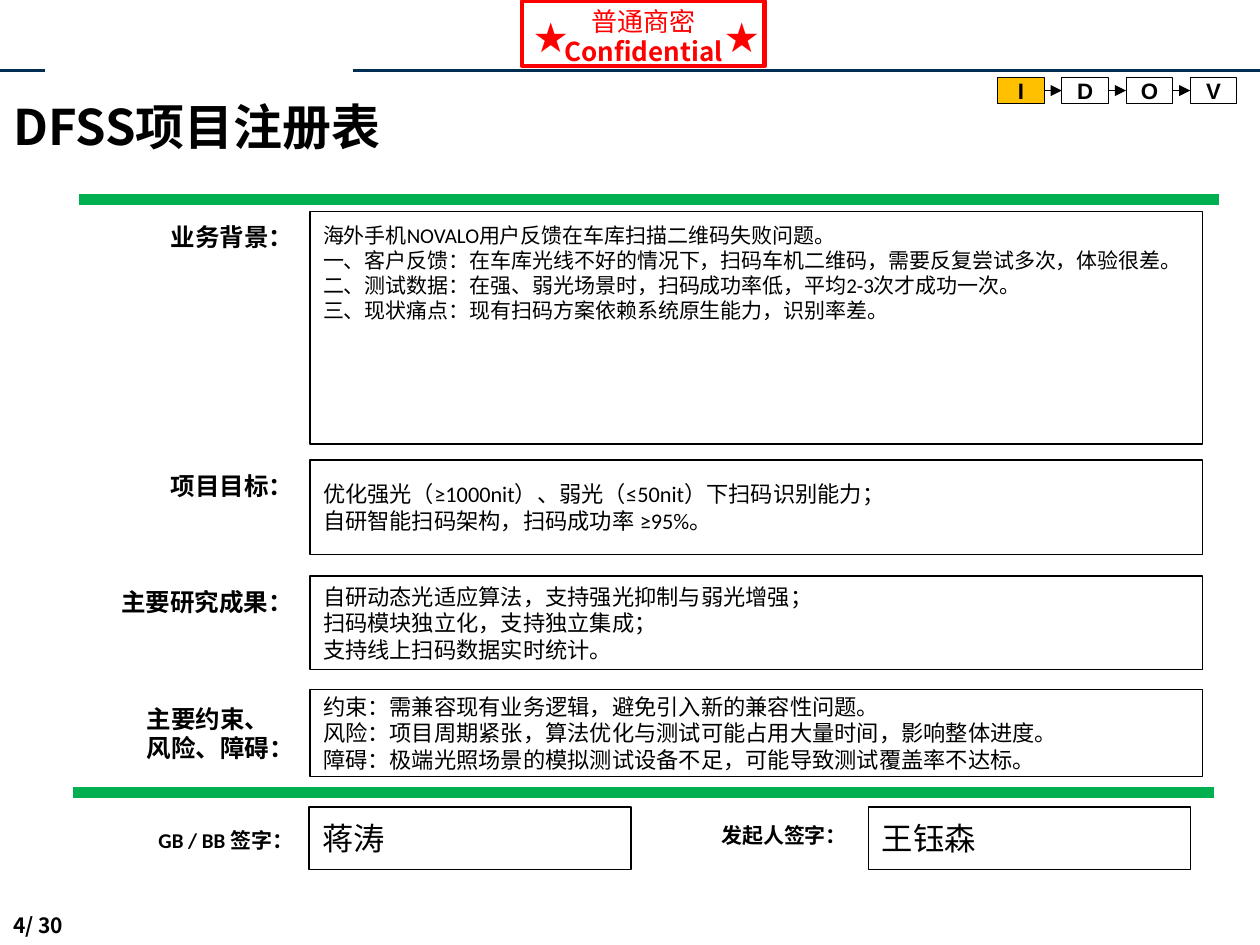
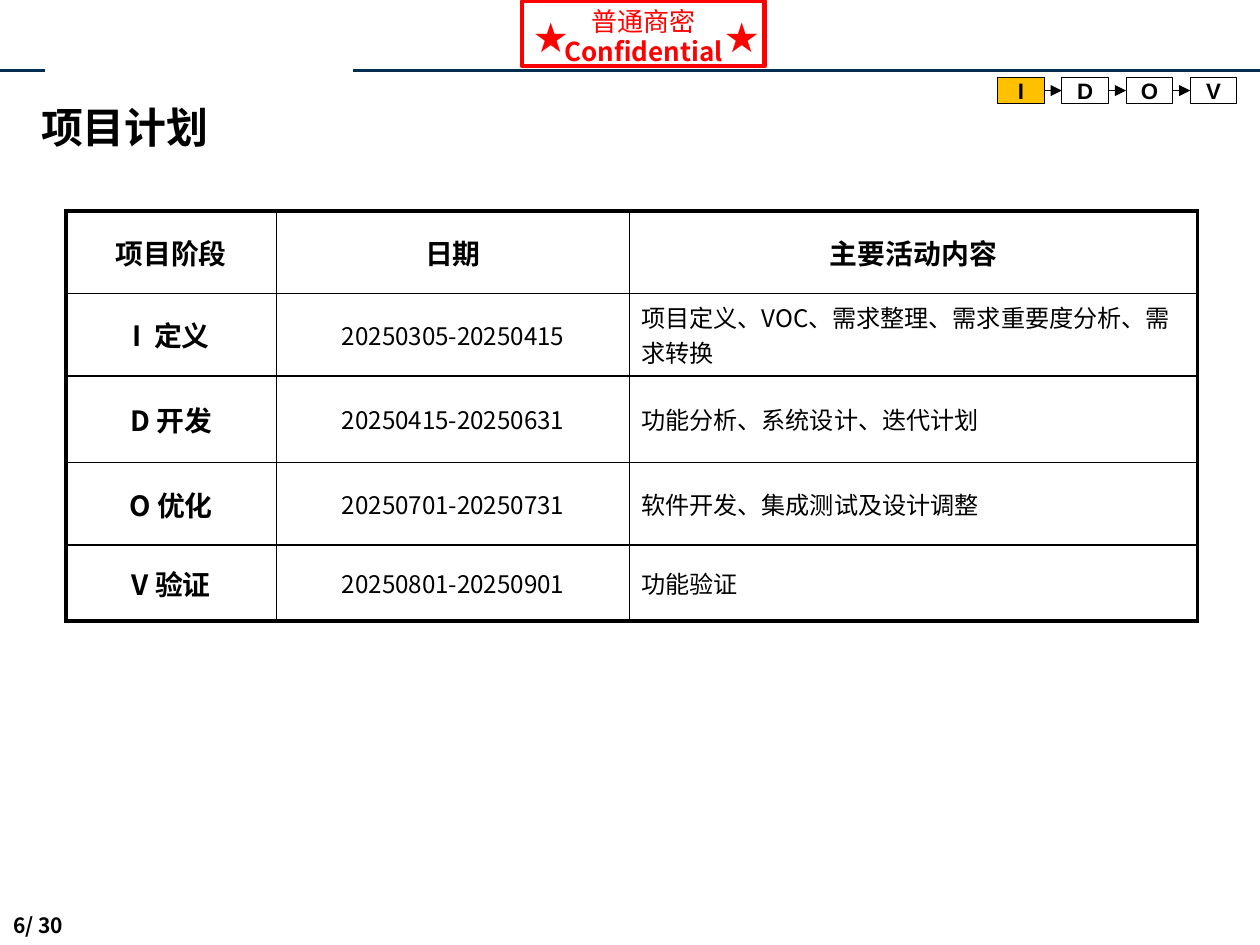
from pptx import Presentation
from pptx.dml.color import RGBColor
from pptx.enum.shapes import MSO_CONNECTOR, MSO_SHAPE
from pptx.enum.text import MSO_ANCHOR, MSO_AUTO_SIZE, PP_ALIGN
from pptx.oxml.ns import qn
from pptx.util import Pt
from lxml import etree

LEFT, CENTER = PP_ALIGN.LEFT, PP_ALIGN.CENTER
TOP, MIDDLE = MSO_ANCHOR.TOP, MSO_ANCHOR.MIDDLE
RECTANGLE, STRAIGHT = MSO_SHAPE.RECTANGLE, MSO_CONNECTOR.STRAIGHT
NO_AUTOFIT = MSO_AUTO_SIZE.NONE
TITLE_ONLY = 5

COLORS = {"ink": "000000", "paper": "FFFFFF", "navy": "002E53",
          "red": "FF0000", "amber": "FFC000", "green": "00B050"}
SANS, BODY, LATIN = "Noto Sans CJK SC", "Calibri", "Arial"
WIDTH, HEIGHT = 679, 509
FIELD_LEFT, FIELD_WIDTH = 167, 481
LABEL_RIGHT = 170


def color(name):
    return RGBColor.from_string(COLORS[name])


def format_span(span, size, font, ink, bold):
    span.font.size = Pt(size)
    span.font.bold = bold
    span.font.color.rgb = color(ink)
    span.font.name = font
    east_asian = etree.SubElement(span.font._element, qn("a:ea"))
    east_asian.set("typeface", font)


def write(frame, text, size=12, font=BODY, ink="ink", bold=False,
          align=LEFT, anchor=TOP, spacing=None, margins=(7.2, 3.6, 7.2, 3.6)):
    """Fill a text frame; each line of the text becomes a paragraph."""
    frame.word_wrap = True
    frame.auto_size = NO_AUTOFIT
    frame.vertical_anchor = anchor
    (frame.margin_left, frame.margin_top,
     frame.margin_right, frame.margin_bottom) = map(Pt, margins)
    for index, line in enumerate(text.split("\n")):
        para = frame.add_paragraph() if index else frame.paragraphs[0]
        para.alignment = align
        para.line_spacing = spacing
        format_span(para.add_run(), size, font, ink, bold)
        para.runs[0].text = line


def add_text(page, left, top, width, height, text, **style):
    box = page.shapes.add_textbox(Pt(left), Pt(top), Pt(width), Pt(height))
    write(box.text_frame, text, **style)


def add_box(page, left, top, width, height, text="", fill=None,
            line="ink", weight=0.75, **style):
    box = page.shapes.add_shape(RECTANGLE, Pt(left), Pt(top),
                                Pt(width), Pt(height))
    box.shadow.inherit = False
    if fill:
        box.fill.solid()
        box.fill.fore_color.rgb = color(fill)
    else:
        box.fill.background()
    box.line.color.rgb = color(line)
    box.line.width = Pt(weight)
    write(box.text_frame, text, **{"anchor": MIDDLE, **style})


def add_rule(page, left, right, y, ink, weight, arrow=False):
    rule = page.shapes.add_connector(STRAIGHT, Pt(left), Pt(y),
                                     Pt(right), Pt(y))
    rule.line.color.rgb = color(ink)
    rule.line.width = Pt(weight)
    if arrow:
        etree.SubElement(rule.line._get_or_add_ln(),
                         qn("a:tailEnd")).set("type", "triangle")
    etree.SubElement(rule._element.spPr, qn("a:effectLst"))


def add_stamp(page):
    add_box(page, 281.5, 0.7, 130.5, 35, line="red", weight=2.25)
    for text, top, bold in (("普通商密", 2, False), ("Confidential", 18, True)):
        add_text(page, 281.5, top, 130.5, 18, text, size=14, font=SANS,
                 ink="red", bold=bold, align=CENTER, spacing=Pt(18),
                 margins=(0, 0, 0, 0))
    for left in (281, 384):
        add_text(page, left, 5, 32, 29, "★", size=18, font=SANS,
                 ink="red", spacing=Pt(22.5))


def add_phases(page, active):
    left, top, width, height, pitch = 537.6, 41.6, 25.2, 14.4, 34.6
    phases = "IDOV"
    for index, phase in enumerate(phases):
        x = left + index * pitch
        add_box(page, x, top, width, height, phase, weight=0.5,
                fill="amber" if phase == active else "paper",
                size=12, font=LATIN, bold=True, align=CENTER,
                margins=(0, 0, 0, 0))
        if index < len(phases) - 1:
            add_rule(page, x + width, x + pitch, top + height / 2,
                     "ink", 0.5, arrow=True)


def add_page(deck, title, number, title_left, title_size):
    """Add a slide with the shared header, title and page number."""
    page = deck.slides.add_slide(deck.slide_layouts[TITLE_ONLY])
    for left, right in ((0, 24.5), (190, WIDTH)):
        add_rule(page, left, right, 38, "navy", 1.5)
    add_stamp(page)
    add_phases(page, "I")
    add_text(page, 0, 488, 74, 21, f"{number}/ 30", size=11.3, font=SANS,
             bold=True, spacing=Pt(13.5))
    heading = page.shapes.title
    heading.left, heading.top = Pt(title_left), Pt(48)
    heading.width, heading.height = Pt(505), Pt(44)
    write(heading.text_frame, title, size=title_size, font=SANS, bold=True,
          anchor=MIDDLE, spacing=0.9)
    return page


def add_label(page, left, top, text, right=LABEL_RIGHT, size=13.2):
    height = 7.2 + 16 * len(text.split("\n"))
    add_text(page, left, top, right - left, height, text, size=size, bold=True)


def set_borders(cell, weights):
    properties = cell._tc.get_or_add_tcPr()
    for index, (side, weight) in enumerate(weights.items()):
        border = etree.Element(qn(f"a:{side}"), w=str(Pt(weight)))
        fill = etree.SubElement(border, qn("a:solidFill"))
        etree.SubElement(fill, qn("a:srgbClr"), val=COLORS["ink"])
        properties.insert(index, border)


def add_grid(page, left, top, widths, heights, rows):
    """Add a table with a heavy frame, bold header and bold first column."""
    thin, thick = 1, 2.25
    last_row, last_column = len(heights) - 1, len(widths) - 1
    table = page.shapes.add_table(len(heights), len(widths), Pt(left), Pt(top),
                                  Pt(sum(widths)), Pt(sum(heights))).table
    table.first_row = table.horz_banding = False
    for column, width in zip(table.columns, widths):
        column.width = Pt(width)
    for r, (height, texts) in enumerate(zip(heights, rows)):
        table.rows[r].height = Pt(height)
        for c, text in enumerate(texts):
            cell = table.cell(r, c)
            strong = r == 0 or c == 0
            centered = r == 0 or c < last_column
            write(cell.text_frame, text, size=15 if strong else 13, font=SANS,
                  bold=strong, align=CENTER if centered else LEFT)
            cell.vertical_anchor = MIDDLE
            cell.margin_left = cell.margin_right = Pt(6.6)
            cell.margin_top = cell.margin_bottom = Pt(3.4)
            cell.fill.background()
            set_borders(cell, {"lnL": thick if c == 0 else thin,
                               "lnR": thick if c == last_column else thin,
                               "lnT": thick if r == 0 else thin,
                               "lnB": thick if r == last_row else thin})


def build_registration(deck):
    page = add_page(deck, "DFSS项目注册表", 4, 0, 26.4)

    # Green dividers
    add_rule(page, 42.5, 657, 107.3, "green", 6)
    add_rule(page, 39.6, 654, 427, "green", 6)

    # Labelled fields
    add_label(page, 85, 116, "业务背景：")
    add_box(page, FIELD_LEFT, 113.8, FIELD_WIDTH, 125.3,
            "海外手机NOVALO用户反馈在车库扫描二维码失败问题。\n"
            "一、客户反馈：在车库光线不好的情况下，扫码车机二维码，需要反复尝试多次，体验很差。\n"
            "二、测试数据：在强、弱光场景时，扫码成功率低，平均2-3次才成功一次。\n"
            "三、现状痛点：现有扫码方案依赖系统原生能力，识别率差。",
            size=11.3, anchor=TOP, margins=(7.2, 5.8, 7.2, 3.6))
    fields = (
        (85, 250, "项目目标：", 247.7, 51,
         "优化强光（≥1000nit）、弱光（≤50nit）下扫码识别能力；\n"
         "自研智能扫码架构，扫码成功率 ≥95%。"),
        (58.3, 312.5, "主要研究成果：", 310.3, 50.4,
         "自研动态光适应算法，支持强光抑制与弱光增强；\n"
         "扫码模块独立化，支持独立集成；\n"
         "支持线上扫码数据实时统计。"),
        (72, 375.5, "主要约束、\n风险、障碍：", 371.4, 46.8,
         "约束：需兼容现有业务逻辑，避免引入新的兼容性问题。\n"
         "风险：项目周期紧张，算法优化与测试可能占用大量时间，影响整体进度。\n"
         "障碍：极端光照场景的模拟测试设备不足，可能导致测试覆盖率不达标。"),
    )
    for label_left, label_top, label, top, height, text in fields:
        add_label(page, label_left, label_top, label)
        add_box(page, FIELD_LEFT, top, FIELD_WIDTH, height, text,
                margins=(7.2, 0, 7.2, 0))

    # Signatures
    signatures = ((78.3, 442, "GB / BB 签字：", LABEL_RIGHT, 166.6, "蒋涛"),
                  (381.6, 439.7, "发起人签字：", 468, 468.2, "王钰森"))
    for label_left, label_top, label, right, left, name in signatures:
        add_label(page, label_left, label_top, label, right, size=11.3)
        add_box(page, left, 434.6, 173.5, 33.8, name, size=16.9)


def build_plan(deck):
    page = add_page(deck, "项目计划", 6, 15, 22.6)
    add_grid(page, 35.4, 113.6, (113.6, 190.2, 306.2),
             (44.5, 44.5, 46.6, 44.5, 41), (
        ("项目阶段", "日期", "主要活动内容"),
        ("I  定义", "20250305-20250415",
         "项目定义、VOC、需求整理、需求重要度分析、需求转换"),
        ("D 开发", "20250415-20250631", "功能分析、系统设计、迭代计划"),
        ("O 优化", "20250701-20250731", "软件开发、集成测试及设计调整"),
        ("V 验证", "20250801-20250901", "功能验证"),
    ))


def main():
    deck = Presentation()
    deck.slide_width, deck.slide_height = Pt(WIDTH), Pt(HEIGHT)
    build_registration(deck)
    build_plan(deck)
    deck.save("out.pptx")


if __name__ == "__main__":
    main()
